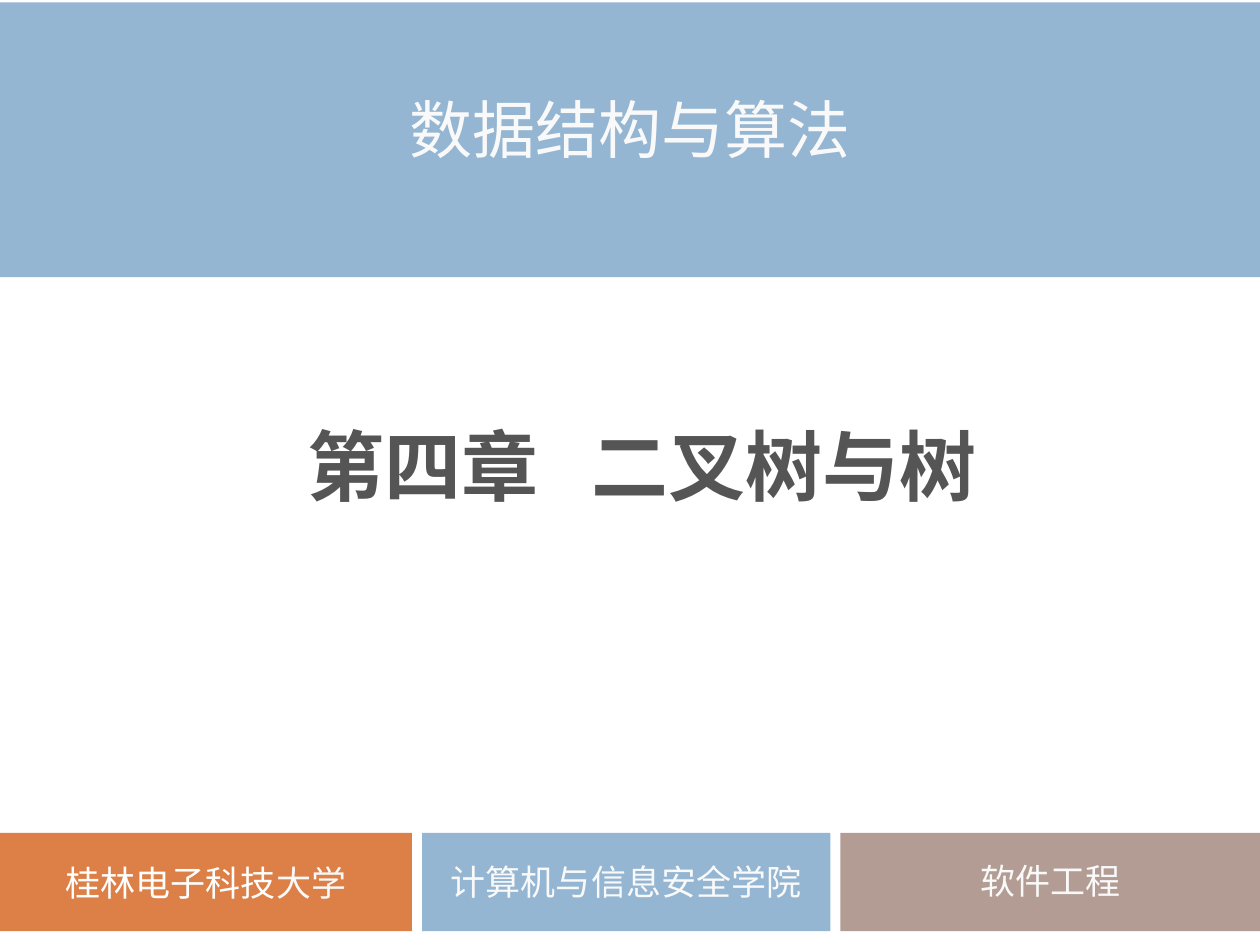
import pptx
import pptx.dml.color
import pptx.enum.lang
import pptx.enum.shapes
import pptx.enum.text
import pptx.oxml.ns
import pptx.util
from lxml import etree

BLUE = pptx.dml.color.RGBColor(0x94, 0xB6, 0xD2)
ORANGE = pptx.dml.color.RGBColor(0xDD, 0x80, 0x47)
TAUPE = pptx.dml.color.RGBColor(0xB2, 0x9C, 0x93)
LIGHT = pptx.dml.color.RGBColor(0xF9, 0xF9, 0xF9)
WHITE = pptx.dml.color.RGBColor(0xFF, 0xFF, 0xFF)
DARK = pptx.dml.color.RGBColor(0x55, 0x55, 0x55)

CHINESE_FONT = "Noto Sans CJK SC"
GRID = 100  # columns and rows on the slide


class SlideBuilder:
    """Holds the style and the current slide; lengths are grid columns and rows."""

    text_style = {"name": "Calibri", "size": 20, "color": LIGHT, "bold": False}

    def __init__(self, deck):
        self.column = deck.slide_width / GRID
        self.row = deck.slide_height / GRID
        self.slide = deck.slides.add_slide(deck.slide_layouts[6])

    def place(self, left, top, width, height):
        return [
            pptx.util.Emu(round(length * unit))
            for length, unit in zip(
                (left, top, width, height),
                (self.column, self.row, self.column, self.row),
            )
        ]

    def band(self, area, color):
        shape = self.slide.shapes.add_shape(
            pptx.enum.shapes.MSO_SHAPE.RECTANGLE, *self.place(*area)
        )
        shape.shadow.inherit = False
        shape.fill.solid()
        shape.fill.fore_color.rgb = color
        shape.line.fill.background()
        return shape

    def label(self, area, pieces, **style):
        box = self.slide.shapes.add_textbox(*self.place(*area))
        self.set_text(box, pieces, **style)
        return box

    def set_text(self, box, pieces, line_spacing=None, **style):
        """Set one centred paragraph; each piece is (text, format changes)."""
        frame = box.text_frame
        frame.word_wrap = True
        frame.vertical_anchor = pptx.enum.text.MSO_ANCHOR.MIDDLE
        para = frame.paragraphs[0]
        para.alignment = pptx.enum.text.PP_ALIGN.CENTER
        para.line_spacing = line_spacing
        for text, changes in pieces:
            self.add_span(para, text, {**self.text_style, **style, **changes})

    def add_span(self, para, text, values):
        span = para.add_run()
        span.text = text
        span.font.color.rgb = values["color"]
        settings = {
            "name": values["name"],
            "size": pptx.util.Pt(values["size"]),
            "bold": values["bold"],
            "language_id": pptx.enum.lang.MSO_LANGUAGE_ID.SIMPLIFIED_CHINESE,
        }
        for attribute, value in settings.items():
            setattr(span.font, attribute, value)
        # East Asian typeface and letter spacing
        properties = span._r.get_or_add_rPr()
        east_asian = etree.SubElement(properties, pptx.oxml.ns.qn("a:ea"))
        east_asian.set("typeface", CHINESE_FONT)
        if "tracking" in values:
            properties.set("spc", str(values["tracking"] * 100))


def main():
    deck = pptx.Presentation()
    deck.slide_width = pptx.util.Inches(10)
    deck.slide_height = pptx.util.Inches(7.5)
    builder = SlideBuilder(deck)

    # Footer tiles: university, school, department
    tile_top, tile_height, label_height = 88.13, 10.4, 10
    university = (0, 32.7)
    school = (33.5, 32.4)
    department = (66.7, 33.3)
    tiles = [
        builder.band((left, tile_top, width, tile_height), color)
        for (left, width), color in (
            (university, ORANGE), (school, BLUE), (department, TAUPE)
        )
    ]
    builder.set_text(tiles[1], [("计算机与信息安全学院", {})])
    builder.label(
        (department[0], tile_top, department[1], label_height), [("软件工程", {})]
    )
    builder.label(
        (university[0], 88.4, university[1], label_height),
        [("桂林电子科技", {"color": WHITE}), ("大学", {})],
    )

    # Course banner
    banner = builder.band((0, 0.27, GRID, 29.07), BLUE)
    builder.set_text(
        banner,
        [("数据结构与算法", {})],
        line_spacing=pptx.util.Pt(30),
        name="Times New Roman",
        size=36,
    )

    # Chapter title, with a widened gap after the chapter number
    title = builder.label(
        (7.1, 40, 87.7, 18.4),
        [("第四章", {}), (" ", {"tracking": 20}), ("二叉树与树", {})],
        name=CHINESE_FONT,
        size=44,
        color=DARK,
        bold=True,
    )
    for side in ("left", "top", "right", "bottom"):
        setattr(title.text_frame, f"margin_{side}", 0)

    deck.save("out.pptx")


if __name__ == "__main__":
    main()
